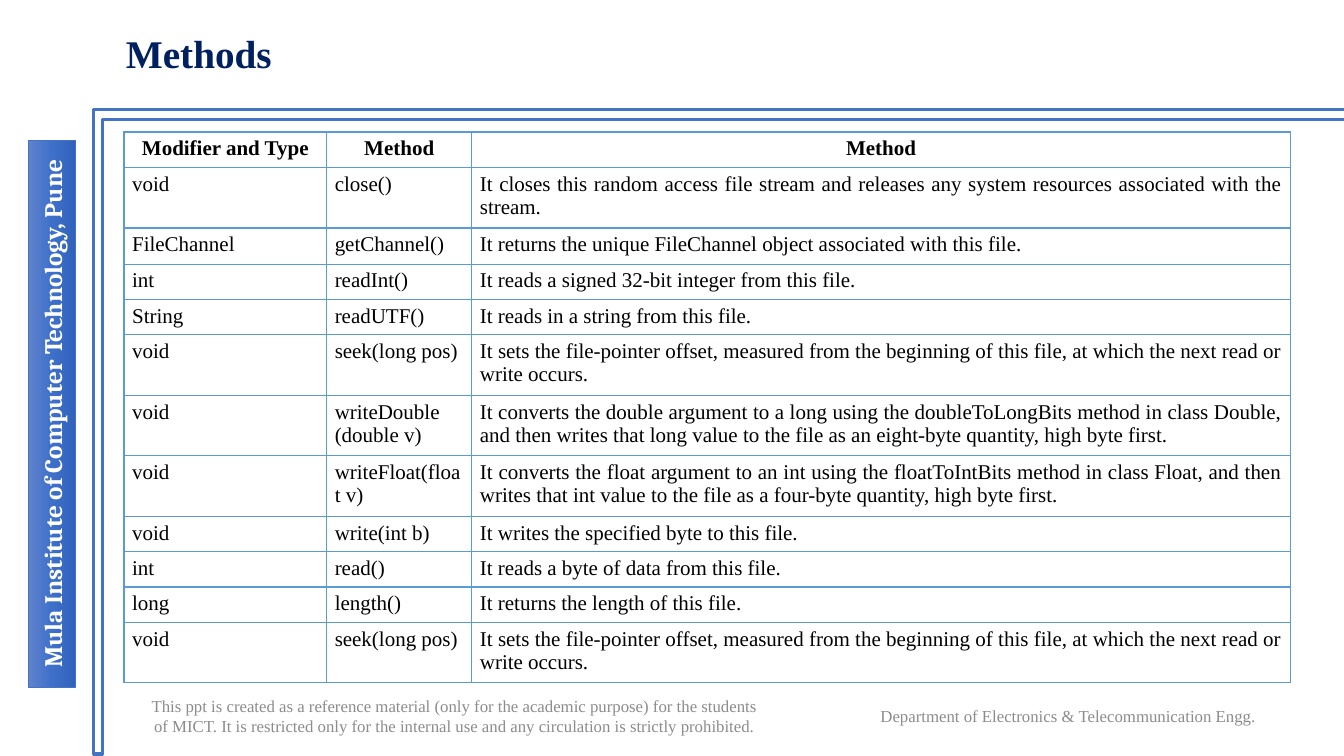
from copy import deepcopy
from dataclasses import dataclass

from lxml import etree
from pptx import Presentation, util as u
from pptx.dml.color import RGBColor
from pptx.enum import shapes, text
from pptx.oxml import ns

# Content
TITLE = "Methods"
INSTITUTE = "Mula Institute of Computer Technology, Pune"
NOTICE = (
    "This ppt is created as a reference material (only for the academic purpose) "
    "for the students of MICT. It is restricted only for the internal use and any "
    "circulation is strictly prohibited."
)
DEPARTMENT = "Department of Electronics & Telecommunication Engg. "
SEEK = (
    "void", "seek(long pos)",
    "It sets the file-pointer offset, measured from the beginning of this file, "
    "at which the next read or write occurs.",
)
HEADER = ("Modifier and Type", "Method", "Method")
METHODS = [
    ("void", "close()",
     "It closes this random access file stream and releases any system resources "
     "associated with the stream."),
    ("FileChannel", "getChannel()",
     "It returns the unique FileChannel object associated with this file."),
    ("int", "readInt()", "It reads a signed 32-bit integer from this file."),
    ("String", "readUTF()", "It reads in a string from this file."),
    SEEK,
    ("void", "writeDouble (double v)",
     "It converts the double argument to a long using the doubleToLongBits method "
     "in class Double, and then writes that long value to the file as an "
     "eight-byte quantity, high byte first."),
    ("void", "writeFloat(float v)",
     "It converts the float argument to an int using the floatToIntBits method in "
     "class Float, and then writes that int value to the file as a four-byte "
     "quantity, high byte first."),
    ("void", "write(int b)", "It writes the specified byte to this file."),
    ("int", "read()", "It reads a byte of data from this file."),
    ("long", "length()", "It returns the length of this file."),
    SEEK,
]

# Places as percent of the slide: left, top, width, height as seen
FRAME = (6.98, 14.53, 93.1, 85.2)
SIDEBAR = (2.1, 18.53, 3.53, 72.4)
TITLE_AT = (8.63, 3.2, 84.25, 8.27)
NOTICE_AT = (9.98, 90.93, 47.7, 7.6)
DEPARTMENT_AT = (60.77, 92.27, 37.73, 4.8)
TABLE_CORNER = (9.23, 17.47)
COLUMNS = (15.08, 10.8, 60.9)
ONE_LINE, ROOMY_LINE, TWO_LINES = 4.4, 4.8, 7.7
ROWS = (
    [ONE_LINE, TWO_LINES, ROOMY_LINE] + [ONE_LINE] * 2
    + [TWO_LINES] * 3 + [ONE_LINE] * 3 + [TWO_LINES]
)


@dataclass(frozen=True)
class Theme:
    serif: str = "Times New Roman"
    side_font: str = "Cambria"
    white: str = "FFFFFF"
    black: str = "000000"
    navy: str = "002060"
    grey: str = "8C8C8C"
    blue: str = "4472C4"
    border: str = "5B9BD5"
    gradient: tuple = ((0, "6183CB"), (0.5, "3E70CA"), (1, "3062BB"))
    title_size: int = 28
    side_size: int = 18
    cell_size: int = 15
    small_size: int = 12


THEME = Theme()
ALIGN = text.PP_ALIGN
color = RGBColor.from_string

deck = Presentation()
deck.slide_width, deck.slide_height = u.Inches(13.33), u.Inches(7.5)
page = deck.slides.add_slide(deck.slide_layouts[6])


def across(percent):
    return round(deck.slide_width * percent / 100)


def down(percent):
    return round(deck.slide_height * percent / 100)


def place(at):
    left, top, width, height = at
    return across(left), down(top), across(width), down(height)


def write(frame, words, *, size, ink=THEME.black, font=THEME.serif,
          bold=False, align=ALIGN.LEFT, spacing=None):
    frame.word_wrap = True
    para = frame.paragraphs[0]
    para.alignment = align
    if spacing:
        para.line_spacing = spacing
    span = para.add_run()
    span.text = words
    span.font.name, span.font.size = font, u.Pt(size)
    span.font.bold, span.font.color.rgb = bold, color(ink)


def add_text(at, words, **style):
    frame = page.shapes.add_textbox(*place(at)).text_frame
    frame.vertical_anchor = text.MSO_ANCHOR.MIDDLE
    write(frame, words, **style)


def add_turned(kind, at, angle, line_width):
    """Add a shape that fills the given place after a quarter turn."""
    left, top, width, height = place(at)
    shift = (width - height) // 2
    shape = page.shapes.add_shape(kind, left + shift, top - shift, height, width)
    shape.rotation = angle
    shape.shadow.inherit = False
    shape.line.color.rgb = color(THEME.blue)
    shape.line.width = u.Pt(line_width)
    return shape


def add_borders(cell):
    properties = cell._tc.get_or_add_tcPr()
    for position, side in enumerate(("lnL", "lnR", "lnT", "lnB")):
        line = etree.Element(ns.qn(f"a:{side}"), w=str(u.Pt(1)))
        fill = etree.SubElement(line, ns.qn("a:solidFill"))
        etree.SubElement(fill, ns.qn("a:srgbClr"), val=THEME.border)
        properties.insert(position, line)


# Double-line frame
corner = add_turned(shapes.MSO_SHAPE.CORNER, FRAME, 90, 2.25)
corner.adjustments[0], corner.adjustments[1] = 0.013, 0.015
corner.fill.solid()
corner.fill.fore_color.rgb = color(THEME.white)

# Sidebar with the institute's name
sidebar = add_turned(shapes.MSO_SHAPE.RECTANGLE, SIDEBAR, 270, 0.5)
sidebar.fill.gradient()
sidebar.fill.gradient_angle = 270
stop_list = sidebar._element.spPr.find(".//" + ns.qn("a:gsLst"))
stop_list.append(deepcopy(stop_list[-1]))
for stop, (position, shade) in zip(sidebar.fill.gradient_stops, THEME.gradient):
    stop.position, stop.color.rgb = position, color(shade)
sidebar.text_frame.vertical_anchor = text.MSO_ANCHOR.MIDDLE
write(sidebar.text_frame, INSTITUTE, size=THEME.side_size, ink=THEME.white,
      font=THEME.side_font, bold=True, align=ALIGN.CENTER)

# Title and footers
add_text(TITLE_AT, TITLE, size=THEME.title_size, ink=THEME.navy, bold=True, spacing=0.9)
for at, words in ((NOTICE_AT, NOTICE), (DEPARTMENT_AT, DEPARTMENT)):
    add_text(at, words, size=THEME.small_size, ink=THEME.grey, align=ALIGN.CENTER)

# Table of methods
table = page.shapes.add_table(
    len(ROWS), len(COLUMNS), *place((*TABLE_CORNER, sum(COLUMNS), sum(ROWS)))
).table
table.first_row = table.horz_banding = False
for column, width in zip(table.columns, COLUMNS):
    column.width = across(width)
for row, height, entries in zip(table.rows, ROWS, [HEADER, *METHODS]):
    row.height = down(height)
    heading = entries is HEADER
    for cell, words in zip(row.cells, entries):
        cell.margin_left = cell.margin_right = u.Inches(0.08)
        cell.margin_top = cell.margin_bottom = u.Inches(0.05)
        cell.fill.background()
        add_borders(cell)
        write(cell.text_frame, words, size=THEME.cell_size, bold=heading,
              align=ALIGN.CENTER if heading else ALIGN.JUSTIFY)

deck.save("out.pptx")
